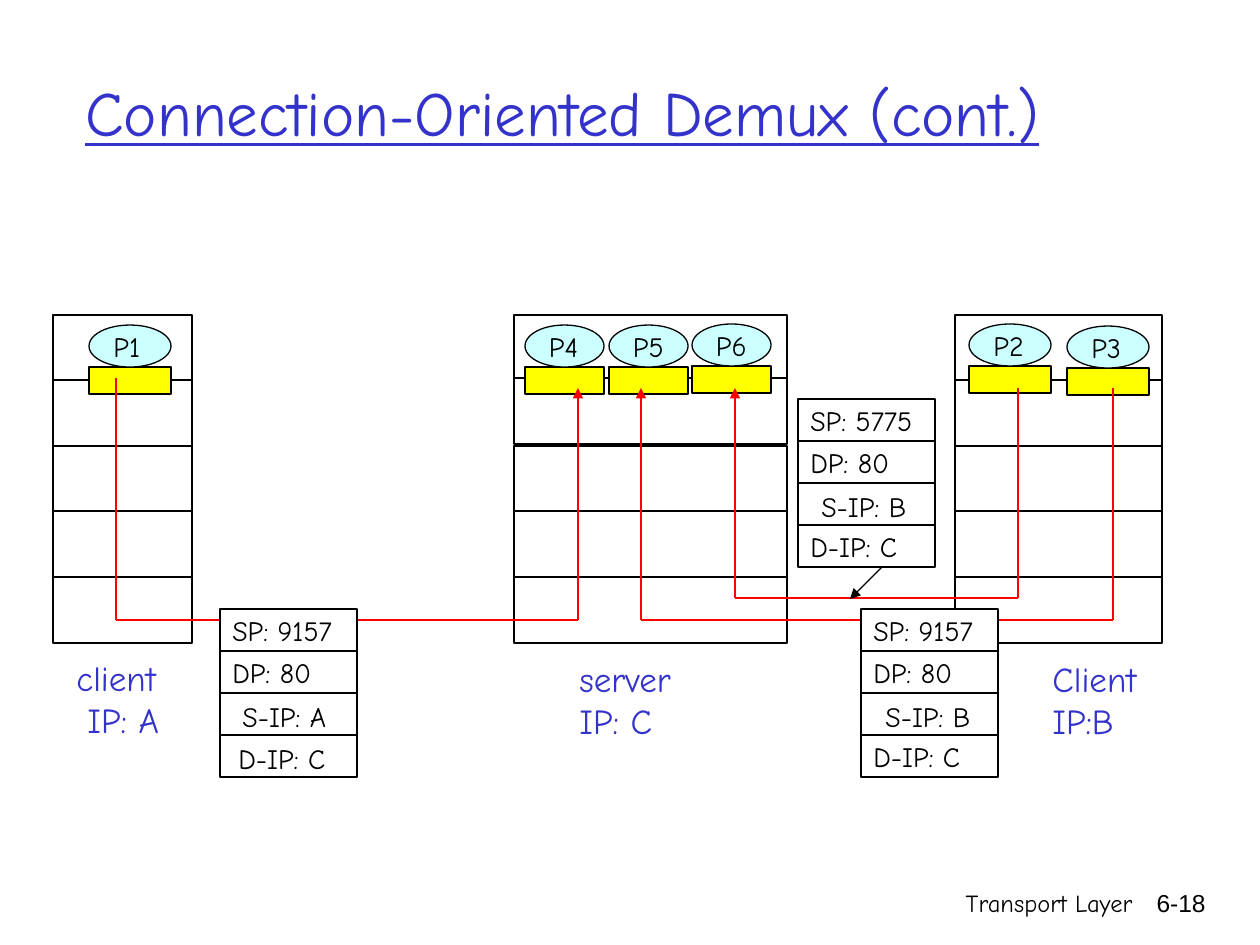
from lxml import etree
from pptx import Presentation
from pptx import util as u
from pptx.dml.color import RGBColor
from pptx.enum import shapes, text
from pptx.oxml.ns import qn

BLACK = RGBColor(0x00, 0x00, 0x00)
WHITE = RGBColor(0xFF, 0xFF, 0xFF)
BLUE = RGBColor(0x33, 0x33, 0xCC)
RED = RGBColor(0xFF, 0x00, 0x00)
YELLOW = RGBColor(0xFF, 0xFF, 0x00)
CYAN = RGBColor(0xCC, 0xFF, 0xFF)

RECT = shapes.MSO_SHAPE.RECTANGLE
OVAL = shapes.MSO_SHAPE.OVAL
LEFT, RIGHT = text.PP_ALIGN.LEFT, text.PP_ALIGN.RIGHT
TOP, MIDDLE = text.MSO_ANCHOR.TOP, text.MSO_ANCHOR.MIDDLE


def px(n):
    return u.Emu(round(n * 914400 / 126))


class DemuxSlide:
    font = "Comic Neue"
    label_size = 16
    caption_size = 20
    row_h = 42
    card_w = 137
    stack_top, stack_h, layers = 315, 328, 5

    def __init__(self, prs):
        self.s = prs.slides.add_slide(prs.slide_layouts[6])

    def set_text(self, sp, content, size, color=BLACK, align=LEFT, anchor=TOP,
                 wrap=False, font=None, underline=None):
        tf = sp.text_frame
        tf.text = content
        tf.word_wrap = wrap
        tf.vertical_anchor = anchor
        for p in tf.paragraphs:
            p.alignment = align
            for r in p.runs:
                r.font.name = font or self.font
                r.font.size = u.Pt(size)
                r.font.color.rgb = color
                r.font.underline = underline
        return tf

    def textbox(self, x, y, w, h, content, size, **style):
        sp = self.s.shapes.add_textbox(px(x), px(y), px(w), px(h))
        return self.set_text(sp, content, size, **style)

    def shape(self, kind, x, y, w, h, fill=WHITE, label=""):
        sp = self.s.shapes.add_shape(kind, px(x), px(y), px(w), px(h))
        sp.shadow.inherit = False
        sp.fill.solid()
        sp.fill.fore_color.rgb = fill
        sp.line.color.rgb = BLACK
        sp.line.width = u.Pt(0.75)
        if label:
            self.set_text(sp, label, self.label_size, anchor=MIDDLE)

    def line(self, x1, y1, x2, y2, color=RED, width=1.5, arrow=False):
        c = self.s.shapes.add_connector(
            shapes.MSO_CONNECTOR.STRAIGHT, px(x1), px(y1), px(x2), px(y2))
        c.line.color.rgb = color
        c.line.width = u.Pt(width)
        spPr = c._element.spPr
        if arrow:
            etree.SubElement(spPr.find(qn("a:ln")), qn("a:tailEnd"),
                             type="triangle")
        etree.SubElement(spPr, qn("a:effectLst"))

    def host(self, x, w, second_row_shift=0):
        """Protocol stack of equal layers."""
        for i in range(self.layers):
            y = self.stack_top + i * self.stack_h // self.layers
            if i == 1:
                y += second_row_shift
            self.shape(RECT, x, y, w, 66)

    def process(self, name, x, y, w):
        """Process bubble sitting on its socket."""
        self.shape(RECT, x, y + 42, w, 27, YELLOW)
        self.shape(OVAL, x, y, w, 42, CYAN, name)

    def caption(self, x, y, w, content, second_indent=0):
        tf = self.textbox(x, y, w, 97, content, self.caption_size, color=BLUE)
        if second_indent:
            pPr = tf.paragraphs[1]._p.get_or_add_pPr()
            pPr.set("marL", str(px(second_indent)))

    def connection(self, x1, top, bottom, x2):
        """Path down from the client, across, and up to the server socket."""
        self.line(x1, top, x1, bottom)
        self.line(x1, bottom, x2, bottom)
        self.line(x2, bottom, x2, 388, arrow=True)

    def segment(self, x, y, labels, shifts):
        """Header fields; rows in shifts carry a separate, shifted label."""
        for i, label in enumerate(labels):
            self.shape(RECT, x, y + i * self.row_h, self.card_w, self.row_h,
                       label="" if i in shifts else label)
        for i, dx in shifts.items():
            self.textbox(x + dx, y + i * self.row_h, 122, 47, labels[i],
                         self.label_size)


def main():
    prs = Presentation()
    prs.slide_width, prs.slide_height = px(1260), px(945)
    slide = DemuxSlide(prs)

    # Title and footer
    slide.textbox(73, 32, 1071, 158, "Connection-Oriented Demux (cont.)", 36,
                  color=BLUE, anchor=MIDDLE, wrap=True, underline=True)
    slide.textbox(746, 882, 399, 63, "Transport Layer", 14, align=RIGHT,
                  wrap=True)
    slide.textbox(1125, 882, 93, 63, "6-18", 14, align=RIGHT, wrap=True,
                  font="Arial")

    # Hosts
    slide.host(53, 139)
    slide.host(514, 273, second_row_shift=-2)
    slide.host(955, 207)

    # Processes
    for name, x, y, w in (("P1", 89, 325, 82), ("P4", 525, 325, 79),
                          ("P5", 609, 325, 79), ("P6", 692, 324, 79),
                          ("P2", 969, 324, 82), ("P3", 1067, 326, 82)):
        slide.process(name, x, y, w)

    # Host captions
    slide.caption(64, 650, 120, "client\nIP: A", second_indent=11)
    slide.caption(567, 651, 132, "server\nIP: C")
    slide.caption(1040, 651, 120, "Client\nIP:B")

    # Connections
    slide.connection(116, 378, 620, 578)
    slide.connection(1113, 388, 620, 641)
    slide.connection(1018, 388, 598, 735)

    # Segments
    slide.segment(220, 609, ("SP: 9157", "DP: 80", "S-IP: A", "D-IP: C"),
                  {2: 10, 3: 6})
    slide.segment(861, 609, ("SP: 9157", "DP: 80", "S-IP: B", "D-IP: C"),
                  {2: 12})
    slide.segment(798, 399, ("SP: 5775", "DP: 80", "S-IP: B", "D-IP: C"),
                  {2: 11})
    slide.line(882, 567, 850, 599, BLACK, 0.75, arrow=True)

    prs.save("out.pptx")


if __name__ == "__main__":
    main()
